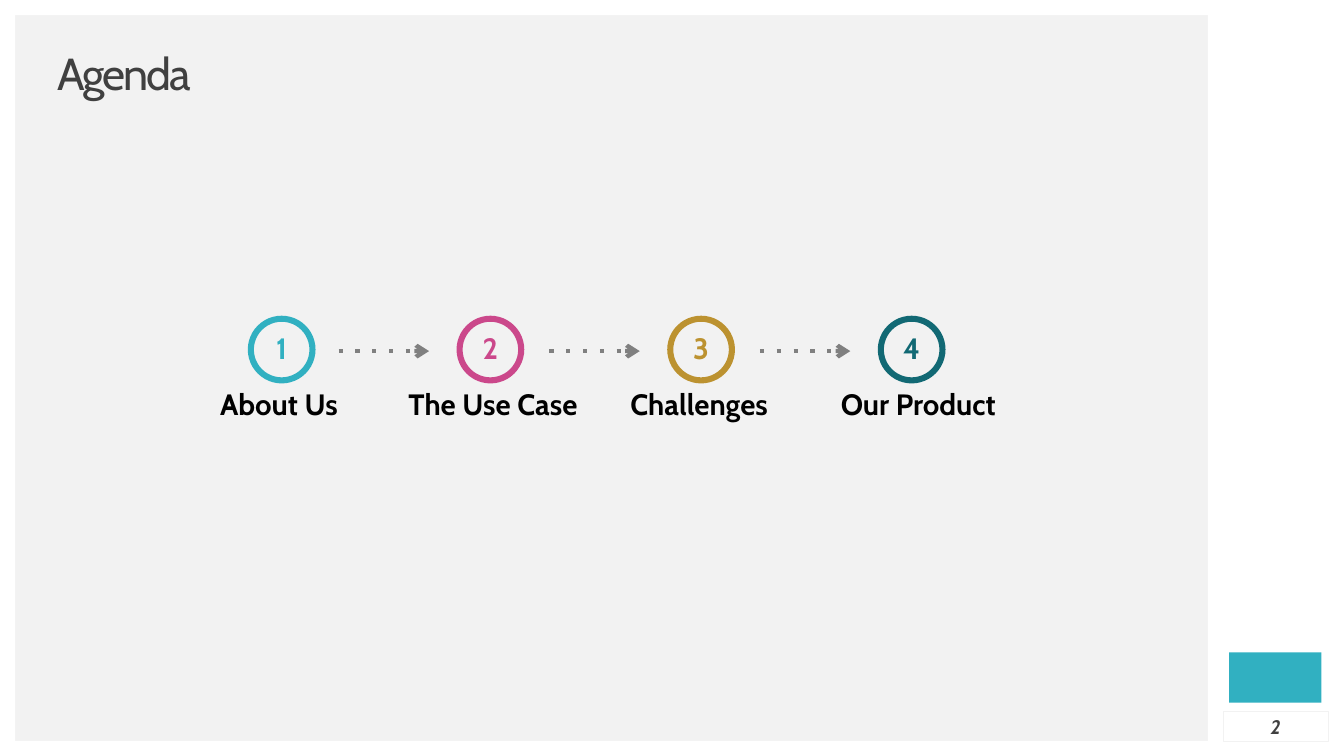
from dataclasses import dataclass

from lxml.etree import SubElement
from pptx import Presentation
from pptx.dml.color import RGBColor
from pptx.enum.shapes import MSO_CONNECTOR, MSO_SHAPE
from pptx.enum.text import MSO_ANCHOR, PP_ALIGN
from pptx.oxml.ns import qn
from pptx.util import Pt


@dataclass(frozen=True)
class Theme:
    font: str = "Cabin"
    canvas: str = "F2F2F2"
    frame: str = "FFFFFF"
    ink: str = "404040"
    label: str = "000000"
    muted: str = "808080"
    accent: str = "31B0C1"
    title_size: float = 32
    step_size: float = 21
    page_size: float = 14


@dataclass(frozen=True)
class Step:
    title: str
    color: str
    center: float
    title_center: float
    title_width: float


THEME = Theme()
WIDTH, HEIGHT = 960, 540
MARGIN = 10.8
SIDEBAR = 97.2
RING = 48.4
RING_TOP = 225.5
ARROW_TOP = 250.8
ARROW_LENGTH = 64.6
ARROW_LEAD = 108.4
STEPS = [
    Step("About Us", "31B0C1", 201.2, 199.2, 104.4),
    Step("The Use Case", "CB488B", 350.3, 352.1, 135.4),
    Step("Challenges", "BC9230", 500.8, 499.4, 120.2),
    Step("Our Product", "126974", 651.2, 655.9, 135.4),
]


def rgb(code):
    return RGBColor.from_string(code)


def style(font, size, color, bold=False, italic=False):
    font.name = THEME.font
    font.size = Pt(size)
    font.bold = bold
    font.italic = italic
    font.color.rgb = rgb(color)


def add_filled(slide, kind, left, top, width, height, color):
    filled = slide.shapes.add_shape(kind, Pt(left), Pt(top), Pt(width), Pt(height))
    filled.shadow.inherit = False
    filled.fill.solid()
    filled.fill.fore_color.rgb = rgb(color)
    filled.line.fill.background()
    return filled


def add_text(slide, left, top, width, height, wrap=True):
    box = slide.shapes.add_textbox(Pt(left), Pt(top), Pt(width), Pt(height))
    box.text_frame.word_wrap = wrap
    return box.text_frame


def add_frame(slide):
    for left, top, width, height in (
        (0, 0, WIDTH, MARGIN),
        (0, 0, MARGIN, HEIGHT),
        (WIDTH - SIDEBAR, 0, SIDEBAR, HEIGHT),
        (0, HEIGHT - MARGIN, WIDTH, MARGIN),
    ):
        add_filled(slide, MSO_SHAPE.RECTANGLE, left, top, width, height, THEME.frame)


def add_title(slide, text):
    heading = add_text(slide, 33.8, 33.8, 798.5, 33.8).paragraphs[0]
    heading.line_spacing = 0.9
    run = heading.add_run()
    run.text = text
    style(heading.font, THEME.title_size, THEME.ink)
    run._r.get_or_add_rPr().set("spc", "-150")


def add_caption(slide, text, center, top, width, color):
    frame = add_text(slide, center - width / 2, top, width, 32.4, wrap=False)
    caption = frame.paragraphs[0]
    caption.text = text
    caption.alignment = PP_ALIGN.CENTER
    style(caption.font, THEME.step_size, color, bold=True)


def add_step(slide, number, step):
    ring = add_filled(slide, MSO_SHAPE.DONUT, step.center - RING / 2, RING_TOP, RING, RING, step.color)
    ring.adjustments[0] = 0.09
    add_caption(slide, str(number), step.center, 232.4, 41, step.color)
    add_caption(slide, step.title, step.title_center, 272.3, step.title_width, THEME.label)


def add_arrow(slide, left):
    arrow = slide.shapes.add_connector(
        MSO_CONNECTOR.STRAIGHT, Pt(left), Pt(ARROW_TOP), Pt(left + ARROW_LENGTH), Pt(ARROW_TOP)
    )
    arrow.line.width = Pt(3)
    arrow.line.color.rgb = rgb(THEME.muted)
    outline = arrow.line._get_or_add_ln()
    SubElement(outline, qn("a:prstDash")).set("val", "dot")
    SubElement(outline, qn("a:tailEnd")).set("type", "arrow")
    SubElement(arrow._element.spPr, qn("a:effectLst"))


def add_page_number(slide, number):
    badge = add_filled(slide, MSO_SHAPE.RECTANGLE, 873.4, 508.3, 75.6, 20.9, THEME.frame)
    badge.line.color.rgb = rgb(THEME.canvas)
    badge.line.width = Pt(0.25)
    frame = badge.text_frame
    frame.margin_left = frame.margin_right = Pt(0)
    frame.margin_top = frame.margin_bottom = Pt(0)
    frame.vertical_anchor = MSO_ANCHOR.MIDDLE
    page = frame.paragraphs[0]
    page.text = str(number)
    page.alignment = PP_ALIGN.CENTER
    style(page.font, THEME.page_size, THEME.ink, bold=True, italic=True)


def main():
    deck = Presentation()
    deck.slide_width, deck.slide_height = Pt(WIDTH), Pt(HEIGHT)
    slide = deck.slides.add_slide(deck.slide_layouts[6])
    slide.background.fill.solid()
    slide.background.fill.fore_color.rgb = rgb(THEME.canvas)
    add_frame(slide)
    add_filled(slide, MSO_SHAPE.RECTANGLE, 878, 466, 66, 36, THEME.accent)
    add_title(slide, "Agenda")
    for number, step in enumerate(STEPS, start=1):
        add_step(slide, number, step)
    for step in STEPS[1:]:
        add_arrow(slide, step.center - ARROW_LEAD)
    add_page_number(slide, 2)
    deck.save("out.pptx")


if __name__ == "__main__":
    main()
